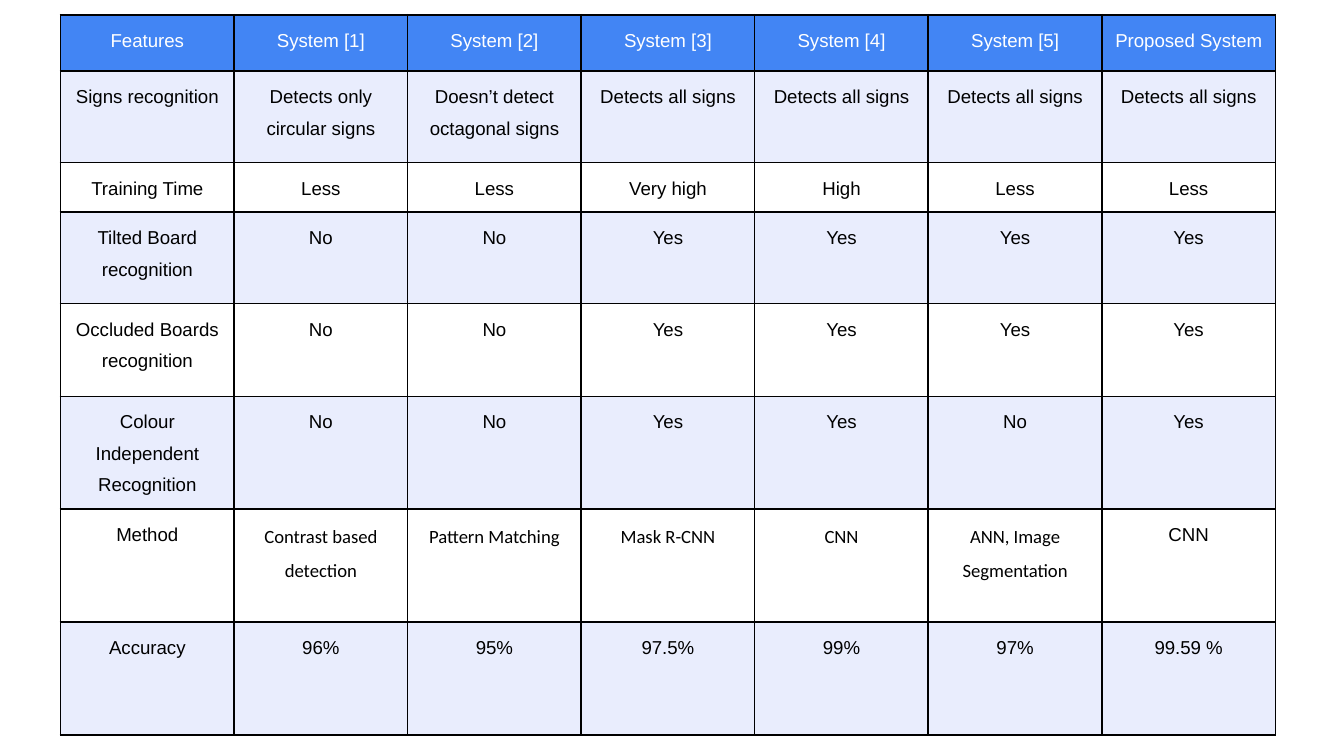
from dataclasses import dataclass

from lxml.etree import SubElement
from pptx import Presentation
from pptx.dml.color import RGBColor
from pptx.enum.text import MSO_ANCHOR as Anchor, PP_ALIGN as Align
from pptx.oxml.ns import qn
from pptx.util import Inches, Pt


@dataclass(frozen=True)
class Theme:
    header_fill: str = "4285F4"
    band_fill: str = "E9EDFD"
    plain_fill: str = "FFFFFF"
    header_text: str = "FFFFFF"
    body_text: str = "000000"
    border: str = "000000"
    border_width: float = 1
    font: str = "Arial"
    method_font: str = "Calibri"
    text_size: float = 10
    line_spacing: float = 1.5
    cell_margin: float = 0.04


# Table content
COMPARISON = [
    ["Features", "System [1]", "System [2]", "System [3]", "System [4]",
     "System [5]", "Proposed System"],
    ["Signs recognition", "Detects only circular signs",
     "Doesn’t detect octagonal signs"] + ["Detects all signs"] * 4,
    ["Training Time", "Less", "Less", "Very high", "High", "Less", "Less"],
    ["Tilted Board recognition", "No", "No", "Yes", "Yes", "Yes", "Yes"],
    ["Occluded Boards recognition", "No", "No", "Yes", "Yes", "Yes", "Yes"],
    ["Colour Independent Recognition", "No", "No", "Yes", "Yes", "No", "Yes"],
    ["Method", "Contrast based detection", "Pattern Matching", "Mask R-CNN",
     "CNN", "ANN, Image Segmentation", "CNN"],
    ["Accuracy", "96%", "95%", "97.5%", "99%", "97%", "99.59 %"],
]
ROW_HEIGHTS = [0.42, 0.68, 0.37, 0.68, 0.69, 0.84, 0.84, 0.84]
METHOD_ROW = 6


def apply_format(target, values):
    for name, value in values.items():
        setattr(target, name, value)


class SlideBuilder:
    def __init__(self, slide, theme):
        self.slide = slide
        self.theme = theme

    def add_borders(self, cell):
        properties = cell._tc.get_or_add_tcPr()
        for side in ("a:lnL", "a:lnR", "a:lnT", "a:lnB"):
            line = SubElement(properties, qn(side), w=str(Pt(self.theme.border_width)))
            fill = SubElement(line, qn("a:solidFill"))
            SubElement(fill, qn("a:srgbClr"), val=self.theme.border)

    def format_cell(self, cell, text, fill, color, font_name):
        theme = self.theme
        margin = Inches(theme.cell_margin)
        apply_format(cell, {
            "text": text, "vertical_anchor": Anchor.TOP,
            "margin_left": margin, "margin_right": margin,
            "margin_top": margin, "margin_bottom": margin,
        })
        self.add_borders(cell)
        cell.fill.solid()
        cell.fill.fore_color.rgb = RGBColor.from_string(fill)
        paragraph = cell.text_frame.paragraphs[0]
        apply_format(paragraph, {
            "alignment": Align.CENTER, "line_spacing": theme.line_spacing,
        })
        font = paragraph.runs[0].font
        apply_format(font, {
            "name": font_name, "size": Pt(theme.text_size), "bold": False,
        })
        font.color.rgb = RGBColor.from_string(color)

    def add_table(self, rows, heights, left, top, width):
        theme = self.theme
        column_count = len(rows[0])
        table = self.slide.shapes.add_table(
            len(rows), column_count, Inches(left), Inches(top),
            Inches(width), Inches(sum(heights))).table
        apply_format(table, {"first_row": False, "horz_banding": False})
        for column in table.columns:
            column.width = Inches(width / column_count)
        for row_index, texts in enumerate(rows):
            table.rows[row_index].height = Inches(heights[row_index])
            # Header first, then alternating bands
            is_header = row_index == 0
            band = theme.band_fill if row_index % 2 else theme.plain_fill
            fill = theme.header_fill if is_header else band
            color = theme.header_text if is_header else theme.body_text
            for column_index, text in enumerate(texts):
                # Methods of the earlier systems have their own font
                is_method = (row_index == METHOD_ROW
                             and 0 < column_index < column_count - 1)
                font_name = theme.method_font if is_method else theme.font
                self.format_cell(table.cell(row_index, column_index),
                                 text, fill, color, font_name)


def main():
    presentation = Presentation()
    # Widescreen 16:9
    width = Inches(10)
    apply_format(presentation, {
        "slide_width": width, "slide_height": width * 9 // 16,
    })
    slide = presentation.slides.add_slide(presentation.slide_layouts[6])

    # Comparison of the systems
    builder = SlideBuilder(slide, Theme())
    builder.add_table(COMPARISON, ROW_HEIGHTS, left=0.45, top=0.11, width=9.04)

    presentation.save("out.pptx")


if __name__ == "__main__":
    main()
